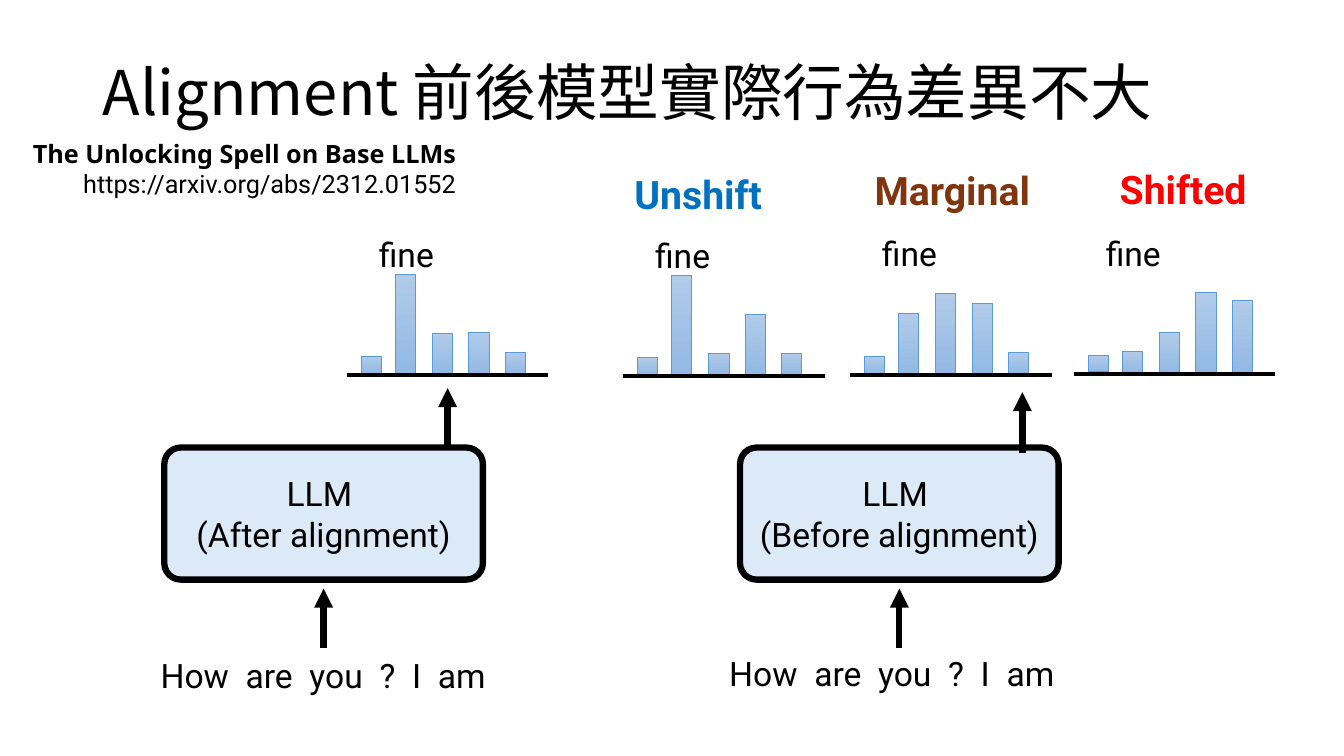
import pptx
import pptx.util
import pptx.dml.color
import pptx.enum.shapes
import pptx.enum.text
import pptx.oxml.ns
from lxml import etree

Inches = pptx.util.Inches
Pt = pptx.util.Pt
RGBColor = pptx.dml.color.RGBColor
ALIGN = pptx.enum.text.PP_ALIGN
ANCHOR = pptx.enum.text.MSO_ANCHOR
SHAPE = pptx.enum.shapes.MSO_SHAPE
STRAIGHT = pptx.enum.shapes.MSO_CONNECTOR.STRAIGHT
qn = pptx.oxml.ns.qn

BLACK = RGBColor(0x00, 0x00, 0x00)
BLUE = RGBColor(0x00, 0x70, 0xC0)
BROWN = RGBColor(0x80, 0x35, 0x0E)
RED = RGBColor(0xFF, 0x00, 0x00)
MODEL_FILL = RGBColor(0xDC, 0xEA, 0xF7)
BAR_TOP = RGBColor(0xB1, 0xCB, 0xE9)
BAR_BOTTOM = RGBColor(0x93, 0xB9, 0xE4)
BAR_EDGE = RGBColor(0x5B, 0x9B, 0xD5)

BAR_OFFSETS = (0.14, 0.48, 0.85, 1.21, 1.57)
BAR_WIDTH = 0.2
AXIS_WIDTH = 2
AXIS_GAP = 0.02


def style_paragraph(paragraph, size, color=BLACK, bold=False, font="Roboto", align=ALIGN.CENTER):
    """Align a paragraph and format its runs."""
    paragraph.alignment = align
    for run in paragraph.runs:
        run.font.size = Pt(size)
        run.font.bold = bold
        run.font.name = font
        run.font.color.rgb = color
        east_asian = etree.SubElement(run.font._element, qn("a:ea"))
        east_asian.set("typeface", "Noto Sans CJK SC")


def add_label(slide, left, top, width, height, text, size=24, **style):
    """Add a wrapped text box and return its text frame."""
    label = slide.shapes.add_textbox(Inches(left), Inches(top), Inches(width), Inches(height))
    frame = label.text_frame
    frame.word_wrap = True
    frame.text = text
    for paragraph in frame.paragraphs:
        style_paragraph(paragraph, size, **style)
    return frame


def add_line(shapes, start, end, width, arrow=False):
    """Add a straight black line, with an arrowhead at its end if asked."""
    line = shapes.add_connector(STRAIGHT, *(Inches(value) for value in start + end))
    line.line.color.rgb = BLACK
    line.line.width = Pt(width)
    if arrow:
        etree.SubElement(line.line._get_or_add_ln(), qn("a:tailEnd")).set("type", "triangle")
    etree.SubElement(line._element.spPr, qn("a:effectLst"))


def add_distribution(slide, left, axis_y, heights, word_top):
    """Add a grouped row of probability bars on an axis, with its word above."""
    distribution = slide.shapes.add_group_shape()
    for offset, height in zip(BAR_OFFSETS, heights):
        bar = distribution.shapes.add_shape(
            SHAPE.RECTANGLE, Inches(left + offset), Inches(axis_y - AXIS_GAP - height),
            Inches(BAR_WIDTH), Inches(height))
        bar.shadow.inherit = False
        bar.fill.gradient()
        bar.fill.gradient_angle = 270
        for stop, color in zip(bar.fill.gradient_stops, (BAR_TOP, BAR_BOTTOM)):
            stop.color.rgb = color
        for stop, position in zip(bar.fill.gradient_stops, (0, 1)):
            stop.position = position
        bar.line.color.rgb = BAR_EDGE
        bar.line.width = Pt(0.5)
    add_line(distribution.shapes, (left, axis_y), (left + AXIS_WIDTH, axis_y), 3)
    add_label(slide, left, word_top, 1.18, 0.5, "fine")


def add_model(slide, left, stage, prompt_left, prompt_top, output_start, output_end):
    """Add a model box with its prompt, input arrow and output arrow."""
    width, top = 3.16, 4.44
    model = slide.shapes.add_shape(
        SHAPE.ROUNDED_RECTANGLE, Inches(left), Inches(top), Inches(width), Inches(1.31))
    model.adjustments[0] = 0.125
    model.shadow.inherit = False
    model.fill.solid()
    model.fill.fore_color.rgb = MODEL_FILL
    model.line.color.rgb = BLACK
    model.line.width = Pt(4.5)
    model.text_frame.word_wrap = True
    model.text_frame.vertical_anchor = ANCHOR.MIDDLE
    model.text_frame.text = f"LLM \n({stage} alignment)"
    for paragraph in model.text_frame.paragraphs:
        style_paragraph(paragraph, 24)
    center = left + width / 2
    add_line(slide.shapes, (center, 6.43), (center, 5.84), 4.5, arrow=True)
    add_line(slide.shapes, output_start, output_end, 4.5, arrow=True)
    add_label(slide, prompt_left, prompt_top, 3.63, 0.5, "How  are  you  ?  I  am")


def add_title(slide):
    """Add the slide title."""
    title = add_label(slide, 0.92, 0.4, 11.5, 1.45, "Alignment 前後模型實際行為差異不大",
                      size=44, font="Noto Sans CJK SC", align=ALIGN.LEFT)
    title.vertical_anchor = ANCHOR.MIDDLE
    title.paragraphs[0].line_spacing = Pt(21)
    title.paragraphs[0].space_after = Pt(9)


def add_citation(slide):
    """Add the paper name and its address."""
    citation = add_label(
        slide, 0.14, 1.32, 4.48, 0.71,
        "The Unlocking Spell on Base LLMs\nhttps://arxiv.org/abs/2312.01552",
        size=18, align=ALIGN.RIGHT)
    paper = citation.paragraphs[0].runs[0]
    paper.font.bold = True
    paper.font.name = "Noto Sans"


def main():
    """Build the slide and save it."""
    presentation = pptx.Presentation()
    presentation.slide_width = Inches(13.33)
    presentation.slide_height = Inches(7.5)
    slide = presentation.slides.add_slide(presentation.slide_layouts[6])

    add_title(slide)
    add_model(slide, 1.63, "After", 1.39, 6.45, (4.44, 4.44), (4.44, 3.85))
    add_model(slide, 7.34, "Before", 7.03, 6.43, (10.14, 4.49), (10.14, 3.89))
    for left, axis_y, heights, word_top in (
        (3.44, 3.72, (0.16, 0.98, 0.39, 0.4, 0.2), 2.27),
        (6.18, 3.73, (0.16, 0.98, 0.2, 0.59, 0.2), 2.28),
        (8.43, 3.72, (0.16, 0.59, 0.79, 0.69, 0.2), 2.26),
        (10.65, 3.71, (0.16, 0.2, 0.39, 0.79, 0.71), 2.26),
    ):
        add_distribution(slide, left, axis_y, heights, word_top)
    for left, top, category, color in (
        (5.91, 1.64, "Unshift", BLUE),
        (8.43, 1.6, "Marginal", BROWN),
        (10.72, 1.59, "Shifted", RED),
    ):
        add_label(slide, left, top, 2.03, 0.57, category, size=28, color=color, bold=True)
    add_citation(slide)

    presentation.save("out.pptx")


if __name__ == "__main__":
    main()
